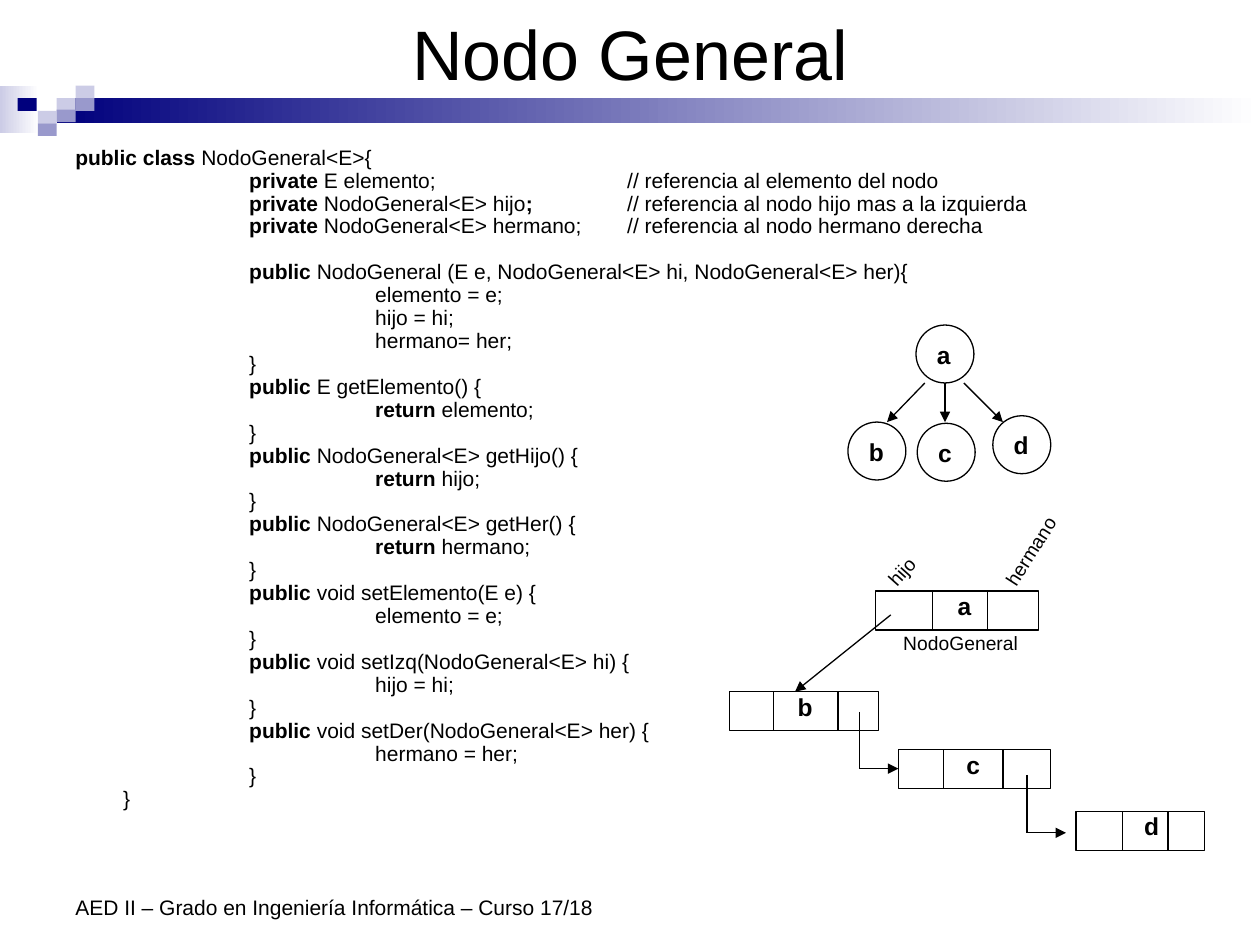
import pptx
import pptx.util
import pptx.dml.color
import pptx.enum.shapes
import pptx.enum.text
import pptx.oxml
from pptx.oxml.ns import qn

Inches, Pt = pptx.util.Inches, pptx.util.Pt
SHAPE = pptx.enum.shapes.MSO_SHAPE
ANCHOR = pptx.enum.text.MSO_ANCHOR
paint = pptx.dml.color.RGBColor.from_string
BLACK, WHITE, NAVY, MID, PALE = "000000", "FFFFFF", "00007D", "9999CC", "CCCCE6"

deck = pptx.Presentation()
deck.slide_width, deck.slide_height = Inches(10), Inches(7.5)
page = deck.slides.add_slide(deck.slide_layouts[5])


def add_span(para, text, size, bold=False):
    span = para.add_run()
    span.text = text
    span.font.name, span.font.size, span.font.bold = "Arial", Pt(size), bold
    span.font.color.rgb = paint(BLACK)


def add_line(x1, y1, x2, y2, arrow=False):
    line = page.shapes.add_connector(
        pptx.enum.shapes.MSO_CONNECTOR.STRAIGHT,
        Inches(x1), Inches(y1), Inches(x2), Inches(y2))
    line.line.color.rgb = paint(BLACK)
    line.line.width = Pt(0.75)
    if arrow:
        line.line._get_or_add_ln().append(pptx.oxml.parse_xml(
            '<a:tailEnd xmlns:a="http://schemas.openxmlformats.org/drawingml/2006/main"'
            ' type="triangle"/>'))
    line._element.spPr.append(line._element.spPr.makeelement(qn("a:effectLst"), {}))


# Decorative band: gradients run from a colour to white
for left, top, width, height, color, fades in [
        (0, 0.68, 0.31, 0.38, PALE, True),
        (0.45, 0.78, 9.55, 0.2, NAVY, True),
        (0.45, 0.78, 0.15, 0.1, PALE, False),
        (0.6, 0.68, 0.15, 0.1, PALE, False),
        (0.6, 0.78, 0.15, 0.1, MID, False),
        (0.3, 0.88, 0.15, 0.1, PALE, False),
        (0.14, 0.78, 0.15, 0.1, NAVY, False),
        (0.45, 0.87, 0.15, 0.1, MID, False),
        (0.3, 0.98, 0.15, 0.1, MID, False)]:
    tile = page.shapes.add_shape(
        SHAPE.RECTANGLE, Inches(left), Inches(top), Inches(width), Inches(height))
    tile.shadow.inherit = False
    tile.line.fill.background()
    if fades:
        tile.fill.gradient()
        tile.fill.gradient_angle = 0
        for stop, shade in zip(tile.fill.gradient_stops, (color, WHITE)):
            stop.color.rgb = paint(shade)
    else:
        tile.fill.solid()
        tile.fill.fore_color.rgb = paint(color)

title = page.shapes.title
title.left, title.top = Inches(0.5), Inches(0.05)
title.width, title.height = Inches(9), Inches(0.73)
title.text_frame.vertical_anchor = ANCHOR.MIDDLE
title.text_frame.paragraphs[0].alignment = pptx.enum.text.PP_ALIGN.CENTER
add_span(title.text_frame.paragraphs[0], "Nodo General", 40)

# Java listing: pieces between asterisks are bold
code = """*public class* NodoGeneral<E>{
\t\t*private* E elemento;\t\t// referencia al elemento del nodo
\t\t*private *NodoGeneral<E> hijo*;\t*// referencia al nodo hijo mas a la izquierda
\t\t*private* NodoGeneral<E> hermano;\t// referencia al nodo hermano derecha
\t\t*public* NodoGeneral (E e, NodoGeneral<E> hi, NodoGeneral<E> her){
\t\t\telemento = e;
\t\t\thijo = hi;
\t\t\thermano= her;
\t\t}
\t\t*public* E getElemento() {
\t\t\t*return* elemento;
\t\t}
\t\t*public* NodoGeneral<E> getHijo() {
\t\t\t*return* hijo;
\t\t}
\t\t*public* NodoGeneral<E> getHer() {
\t\t\t*return* hermano;
\t\t}
\t\t*public* void setElemento(E e) {
\t\t\telemento = e;
\t\t}
\t\t*public* void setIzq(NodoGeneral<E> hi) {
\t\t\thijo = hi;
\t\t}
\t\t*public* void setDer(NodoGeneral<E> her) {
\t\t\thermano = her;
\t\t}
\t}"""
listing = page.shapes.add_textbox(Inches(0.5), Inches(1.15), Inches(9), Inches(5.59))
frame = listing.text_frame
frame.word_wrap = True
for number, row in enumerate(code.split("\n")):
    para = frame.add_paragraph() if number else frame.paragraphs[0]
    para.line_spacing = 0.7
    para.space_before = Pt(16.1 if "(E e, " in row else 3)
    props = para._p.get_or_add_pPr()
    props.set("marL", str(Inches(0.38)))
    props.set("indent", str(Inches(-0.38)))
    props.set("defTabSz", str(Inches(1)))
    for index, piece in enumerate(row.split("*")):
        if piece:
            add_span(para, piece, 12, bold=index % 2 == 1)

# Linked nodes: box, the two dividers, and the indent of the label
for name, left, top, width, dividers, indent in [
        ("a", 6.95, 4.69, 1.29, (7.4, 7.84), 0.65),
        ("b", 5.79, 5.49, 1.18, (6.14, 6.65), 0.54),
        ("d", 8.54, 6.44, 1.02, (8.91, 9.27), 0.54),
        ("c", 7.13, 5.95, 1.21, (7.49, 7.96), 0.54)]:
    node = page.shapes.add_shape(
        SHAPE.RECTANGLE, Inches(left), Inches(top), Inches(width), Inches(0.31))
    node.text_frame.margin_left = Inches(indent)
    node.text_frame.margin_top = node.text_frame.margin_bottom = 0
    add_span(node.text_frame.paragraphs[0], name, 14, bold=True)
    for x in dividers:
        add_line(x, top, x, top + 0.31)

add_line(7.07, 4.88, 6.31, 5.49, arrow=True)
for x, top, bottom in [(6.82, 5.65, 6.1), (8.15, 6.15, 6.61)]:
    add_line(x, top, x, bottom)
    add_line(x, bottom, x + 0.31, bottom, arrow=True)

# Tree
for name, left, top in [("a", 7.27, 2.58), ("b", 6.73, 3.35),
                        ("c", 7.28, 3.36), ("d", 7.88, 3.3)]:
    circle = page.shapes.add_shape(
        SHAPE.OVAL, Inches(left), Inches(top), Inches(0.46), Inches(0.46))
    add_span(circle.text_frame.paragraphs[0], name, 14, bold=True)
for start, end in [(7.34, 7.04), (7.5, 7.5), (7.65, 7.96)]:
    add_line(start, 3.04, end, 3.35, arrow=True)

# Nodes and circles share one look
for shape in page.shapes:
    if shape.has_text_frame and shape.text_frame.text in ("a", "b", "c", "d"):
        shape.shadow.inherit = False
        shape.fill.solid()
        shape.fill.fore_color.rgb = paint(WHITE)
        shape.line.color.rgb = paint(BLACK)
        shape.line.width = Pt(0.75)
        shape.text_frame.vertical_anchor = ANCHOR.TOP
        shape.text_frame.paragraphs[0].alignment = pptx.enum.text.PP_ALIGN.LEFT

for text, left, top, width, height, size, turn, wraps in [
        ("AED II – Grado en Ingeniería Informática – Curso 17/18",
         0.5, 6.83, 4.5, 0.52, 12, 0, True),
        ("NodoGeneral", 7.07, 4.96, 1.41, 0.29, 11, 0, True),
        ("hijo", 6.94, 4.39, 0.44, 0.29, 11, 311.8, False),
        ("hermano", 7.78, 4.23, 0.8, 0.29, 11, 302.6, False)]:
    label = page.shapes.add_textbox(
        Inches(left), Inches(top), Inches(width), Inches(height))
    label.rotation = turn
    label.text_frame.word_wrap = wraps
    label.text_frame.margin_right = 0
    label.text_frame.vertical_anchor = ANCHOR.BOTTOM if size == 12 else ANCHOR.TOP
    add_span(label.text_frame.paragraphs[0], text, size)

deck.save("out.pptx")
